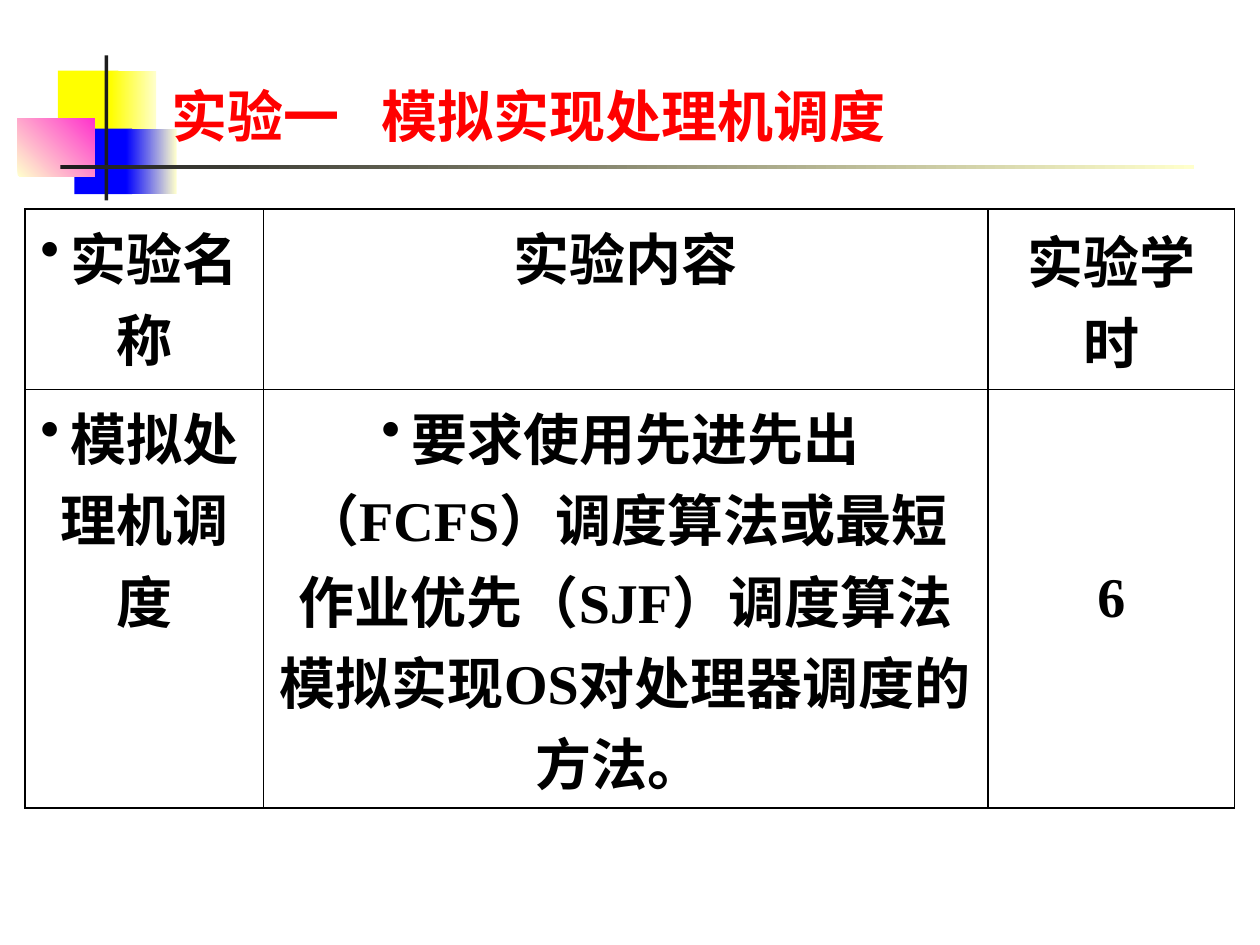
import pptx
import pptx.dml.color
import pptx.enum.shapes
import pptx.enum.text
import pptx.oxml
import pptx.oxml.ns
import pptx.util
from dataclasses import dataclass

Inches = pptx.util.Inches
ALIGN = pptx.enum.text.PP_ALIGN
ANCHOR = pptx.enum.text.MSO_ANCHOR


@dataclass(frozen=True)
class Theme:
    """Colours, font and type size of the slide."""
    yellow: str = "FFFF00"
    cream: str = "FFFFCC"
    blue: str = "0000FF"
    pink: str = "FF33CC"
    dark: str = "1C1C1C"
    title: str = "FF0000"
    text: str = "000000"
    font: str = "Times New Roman"
    size: int = 32
    border: float = 1


THEME = Theme()

# left, top, width, height, colours (two make a gradient), angle
ORNAMENTS = [
    (0.46, 0.56, 0.48, 0.52, [THEME.yellow], 0),
    (0.88, 0.56, 0.36, 0.52, [THEME.yellow, THEME.cream], 0),
    (0.59, 1.02, 0.46, 0.52, [THEME.blue], 0),
    (1.0, 1.02, 0.4, 0.52, [THEME.blue, THEME.cream], 0),
    (0.14, 0.94, 0.61, 0.46, [THEME.cream, THEME.pink], 45),
    (0.83, 0.44, 0.03, 1.15, [THEME.dark], 0),
    (0.48, 1.31, 9, 0.03, [THEME.dark, THEME.cream], 0),
]
COLUMN_WIDTHS = [1.89, 5.75, 1.96]
ROW_HEIGHTS = [1.43, 2.23]
# text, bulleted, vertical anchor
CELLS = [
    [("实验名称", True, ANCHOR.TOP),
     ("实验内容", False, ANCHOR.TOP),
     ("实验学时", False, ANCHOR.MIDDLE)],
    [("模拟处理机调度", True, ANCHOR.TOP),
     ("要求使用先进先出（FCFS）调度算法或最短作业优先（SJF）调度算法"
      "模拟实现OS对处理器调度的方法。 ", True, ANCHOR.TOP),
     ("6", False, ANCHOR.MIDDLE)],
]


def rgb(value):
    """Turn a hex string into a colour."""
    return pptx.dml.color.RGBColor.from_string(value)


def set_attributes(target, values):
    """Set every attribute named in a dict."""
    for name, value in values.items():
        setattr(target, name, value)


def xml(tag, content="", attributes=""):
    """Build one DrawingML element."""
    namespace = pptx.oxml.ns.nsdecls("a")
    return pptx.oxml.parse_xml(
        f"<a:{tag} {namespace} {attributes}>{content}</a:{tag}>")


def write_text(paragraph, text, color, alignment):
    """Write one bold run in the slide's font."""
    paragraph.alignment = alignment
    run = paragraph.add_run()
    run.text = text
    set_attributes(run.font, {
        "name": THEME.font, "size": pptx.util.Pt(THEME.size), "bold": True})
    run.font.color.rgb = rgb(color)


def add_ornament(slide, left, top, width, height, colors, angle):
    """Add a plain or gradient rectangle without an outline."""
    shape = slide.shapes.add_shape(
        pptx.enum.shapes.MSO_SHAPE.RECTANGLE,
        Inches(left), Inches(top), Inches(width), Inches(height))
    shape.shadow.inherit = False
    shape.line.fill.background()
    if len(colors) == 1:
        shape.fill.solid()
        shape.fill.fore_color.rgb = rgb(colors[0])
        return
    shape.fill.gradient()
    shape.fill.gradient_angle = angle
    for stop, color in zip(shape.fill.gradient_stops, colors):
        stop.color.rgb = rgb(color)


def format_title(slide):
    """Place the title in front and split its two parts with a tab stop."""
    title = slide.shapes.title
    set_attributes(title, {
        "left": Inches(1.26), "top": Inches(0.28),
        "width": Inches(8.52), "height": Inches(0.95)})
    set_attributes(title.text_frame, {
        "vertical_anchor": ANCHOR.BOTTOM, "word_wrap": True,
        "auto_size": pptx.enum.text.MSO_AUTO_SIZE.NONE})
    paragraph = title.text_frame.paragraphs[0]
    write_text(paragraph, "实验一\t模拟实现处理机调度", THEME.title, ALIGN.LEFT)
    tab_stop = f'<a:tab pos="{Inches(1.67)}" algn="l"/>'
    paragraph.runs[0].font.language_id = None
    paragraph._p.get_or_add_pPr().append(xml("tabLst", tab_stop))
    slide.shapes.element.append(title.element)


def add_borders(cell):
    """Draw a solid line on all four sides of a cell."""
    properties = cell._tc.get_or_add_tcPr()
    line = f'<a:solidFill><a:srgbClr val="{THEME.text}"/></a:solidFill>'
    width = f'w="{pptx.util.Pt(THEME.border)}"'
    for position, side in enumerate(("lnL", "lnR", "lnT", "lnB")):
        properties.insert(position, xml(side, line, width))


def fill_cell(cell, text, bulleted, anchor):
    """Write a centred cell, with a bullet where asked."""
    cell.fill.background()
    cell.vertical_anchor = anchor
    paragraph = cell.text_frame.paragraphs[0]
    write_text(paragraph, text, THEME.text, ALIGN.CENTER)
    if bulleted:
        properties = paragraph._p.get_or_add_pPr()
        properties.append(xml("buChar", attributes='char="•"'))
    add_borders(cell)


def add_experiment_table(slide):
    """Add the table of the experiment's name, content and hours."""
    table = slide.shapes.add_table(
        len(ROW_HEIGHTS), len(COLUMN_WIDTHS), Inches(0.2), Inches(1.66),
        Inches(sum(COLUMN_WIDTHS)), Inches(sum(ROW_HEIGHTS))).table
    set_attributes(table, {"first_row": False, "horz_banding": False})
    for column, width in zip(table.columns, COLUMN_WIDTHS):
        column.width = Inches(width)
    for row, height, contents in zip(table.rows, ROW_HEIGHTS, CELLS):
        row.height = Inches(height)
        for cell, content in zip(row.cells, contents):
            fill_cell(cell, *content)


def main():
    """Build and save the slide."""
    presentation = pptx.Presentation()
    set_attributes(presentation, {
        "slide_width": Inches(10), "slide_height": Inches(7.5)})
    slide = presentation.slides.add_slide(presentation.slide_layouts[5])
    for ornament in ORNAMENTS:
        add_ornament(slide, *ornament)
    format_title(slide)
    add_experiment_table(slide)
    presentation.save("out.pptx")


main()
